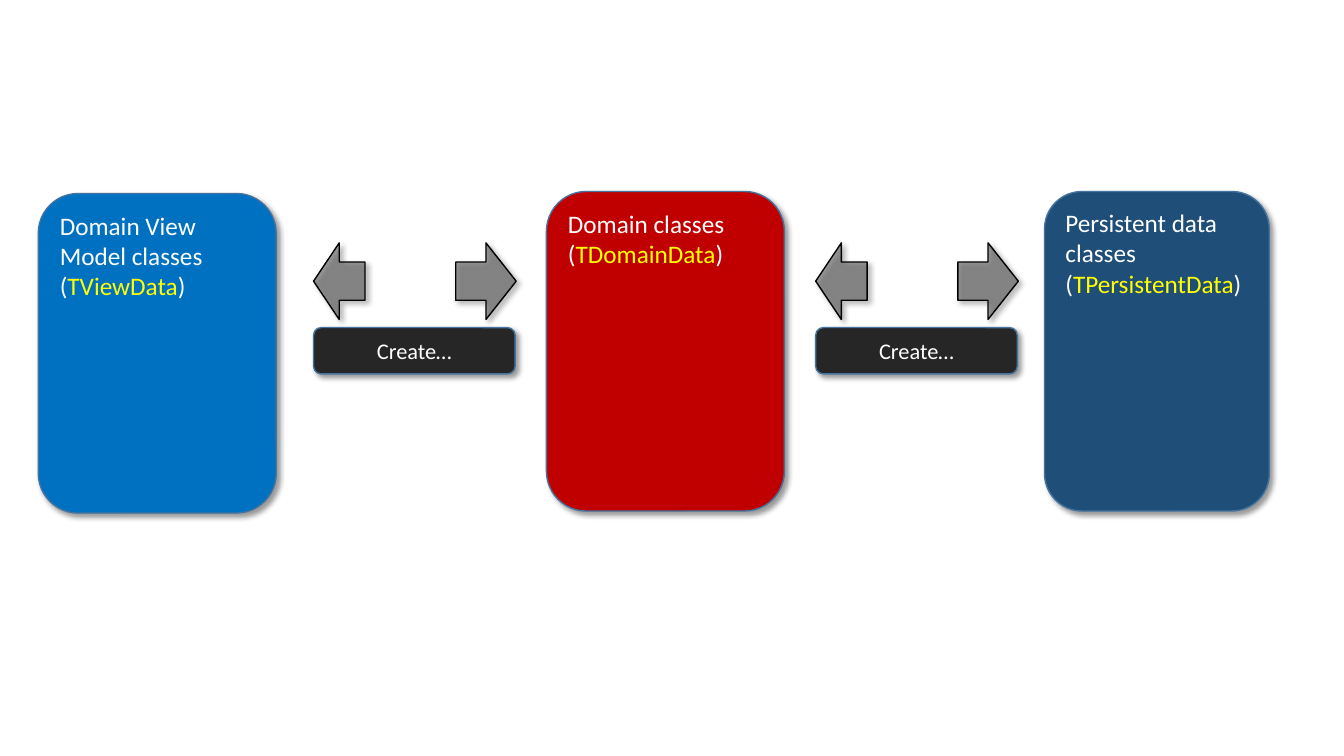
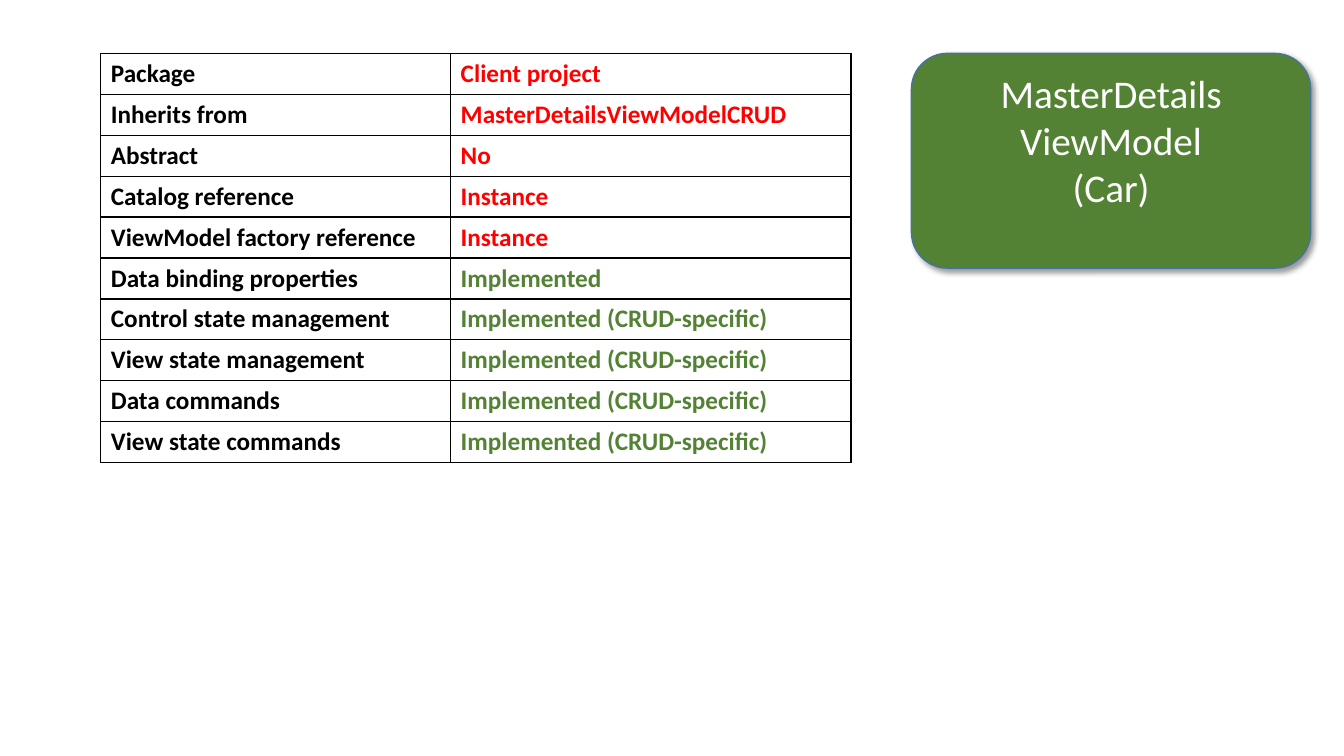
from lxml.etree import SubElement
from pptx import Presentation
from pptx.dml.color import RGBColor
from pptx.enum.shapes import MSO_SHAPE
from pptx.enum.text import MSO_ANCHOR, PP_ALIGN
from pptx.oxml.ns import qn
from pptx.util import Inches, Pt

FONT = "Calibri"
WHITE, BLACK, YELLOW = "FFFFFF", "000000", "FFFF00"
BLUE, NAVY, DARK_RED = "0070C0", "1F4E79", "C00000"
RED, GREEN = "FF0000", "548235"
CHARCOAL, GRAY, OUTLINE = "262626", "595959", "43739E"

CLASS_BOXES = [
    (0.38, 1.92, 2.36, BLUE, "Domain View Model classes", "TViewData"),
    (5.42, 1.9, 2.36, DARK_RED, "Domain classes", "TDomainData"),
    (10.36, 1.9, 2.23, NAVY, "Persistent data classes", "TPersistentData"),
]
CRUD = "Implemented (CRUD-specific)"
PROPERTIES = [
    ("Package", "Client project", RED),
    ("Inherits from", "MasterDetailsViewModelCRUD", RED),
    ("Abstract", "No", RED),
    ("Catalog reference", "Instance", RED),
    ("ViewModel factory reference", "Instance", RED),
    ("Data binding properties", "Implemented", GREEN),
    ("Control state management", CRUD, GREEN),
    ("View state management", CRUD, GREEN),
    ("Data commands", CRUD, GREEN),
    ("View state commands", CRUD, GREEN),
]


def rgb(value):
    return RGBColor.from_string(value)


def write_text(frame, paragraphs, size=18, color=WHITE, bold=False,
               align=PP_ALIGN.LEFT, anchor=MSO_ANCHOR.TOP):
    """Fill a frame; each paragraph is a list of (text, color or None) runs."""
    frame.word_wrap = True
    frame.vertical_anchor = anchor
    for index, runs in enumerate(paragraphs):
        paragraph = frame.add_paragraph() if index else frame.paragraphs[0]
        paragraph.alignment = align
        for text, run_color in runs:
            run = paragraph.add_run()
            run.text = text
            run.font.name = FONT
            run.font.size = Pt(size)
            run.font.bold = bold
            run.font.color.rgb = rgb(run_color or color)


def set_alpha(color_element, percent):
    SubElement(color_element, qn("a:alpha"), val=str(percent * 1000))


def add_shadow(shape):
    shape.shadow.inherit = False
    effects = shape._element.spPr.find(qn("a:effectLst"))
    shadow = SubElement(effects, qn("a:outerShdw"), blurRad=str(Pt(4)),
                        dist=str(Pt(3)), dir=str(45 * 60000),
                        algn="tl", rotWithShape="0")
    set_alpha(SubElement(shadow, qn("a:srgbClr"), val=BLACK), 40)


def add_block(slide, kind, box, fill, line=OUTLINE, alpha=None):
    shape = slide.shapes.add_shape(kind, *map(Inches, box))
    shape.fill.solid()
    shape.fill.fore_color.rgb = rgb(fill)
    if alpha is not None:
        set_alpha(shape._element.spPr.find(qn("a:solidFill"))[0], alpha)
    shape.line.color.rgb = rgb(line)
    shape.line.width = Pt(1)
    add_shadow(shape)
    return shape


def add_rounded_box(slide, box, fill, paragraphs, **text_format):
    shape = add_block(slide, MSO_SHAPE.ROUNDED_RECTANGLE, box, fill)
    write_text(shape.text_frame, paragraphs, **text_format)


def add_conversion(slide, left):
    """Two opposite arrows above a Create box."""
    for kind, offset, width in ((MSO_SHAPE.LEFT_ARROW, 0, 0.51),
                                (MSO_SHAPE.RIGHT_ARROW, 1.41, 0.6)):
        add_block(slide, kind, (left + offset, 2.41, width, 0.76), GRAY,
                  line=BLACK, alpha=60)
    add_rounded_box(slide, (left, 3.25, 2, 0.46), CHARCOAL,
                    [[("Create…", None)]], size=16,
                    align=PP_ALIGN.CENTER, anchor=MSO_ANCHOR.MIDDLE)


def set_borders(cell, color):
    properties = cell._tc.get_or_add_tcPr()
    for side in ("lnL", "lnR", "lnT", "lnB"):
        line = SubElement(properties, qn(f"a:{side}"), w=str(Pt(1)))
        fill = SubElement(line, qn("a:solidFill"))
        SubElement(fill, qn("a:srgbClr"), val=color)


def add_property_table(slide, left, top, column_widths, row_height, rows):
    frame = slide.shapes.add_table(
        len(rows), len(column_widths), Inches(left), Inches(top),
        Inches(sum(column_widths)), Inches(row_height * len(rows)))
    table = frame.table
    table.first_row = table.horz_banding = False
    for column, width in zip(table.columns, column_widths):
        column.width = Inches(width)
    for row, (name, value, value_color) in zip(table.rows, rows):
        row.height = Inches(row_height)
        for cell, text, color in zip(row.cells, (name, value),
                                     (BLACK, value_color)):
            set_borders(cell, BLACK)
            cell.fill.solid()
            cell.fill.fore_color.rgb = rgb(WHITE)
            write_text(cell.text_frame, [[(text, color)]], bold=True)


def build_class_slide(slide):
    for left, top, width, fill, title, type_name in CLASS_BOXES:
        add_rounded_box(slide, (left, top, width, 3.17), fill, [
            [(title, None)],
            [("(", None), (type_name, YELLOW), (")", None)],
        ])
    for left in (3.11, 8.09):
        add_conversion(slide, left)


def build_view_model_slide(slide):
    lines = ("MasterDetails", "ViewModel", "(Car)")
    add_rounded_box(slide, (9.04, 0.53, 3.96, 2.13), GREEN,
                    [[(line, None)] for line in lines],
                    size=28, align=PP_ALIGN.CENTER)
    add_property_table(slide, 1, 0.53, (3.47, 3.97), 0.406, PROPERTIES)


def main():
    presentation = Presentation()
    presentation.slide_width = Inches(13.33)
    presentation.slide_height = Inches(7.5)
    blank_layout = presentation.slide_layouts[6]
    for build in (build_class_slide, build_view_model_slide):
        build(presentation.slides.add_slide(blank_layout))
    presentation.save("out.pptx")


if __name__ == "__main__":
    main()
